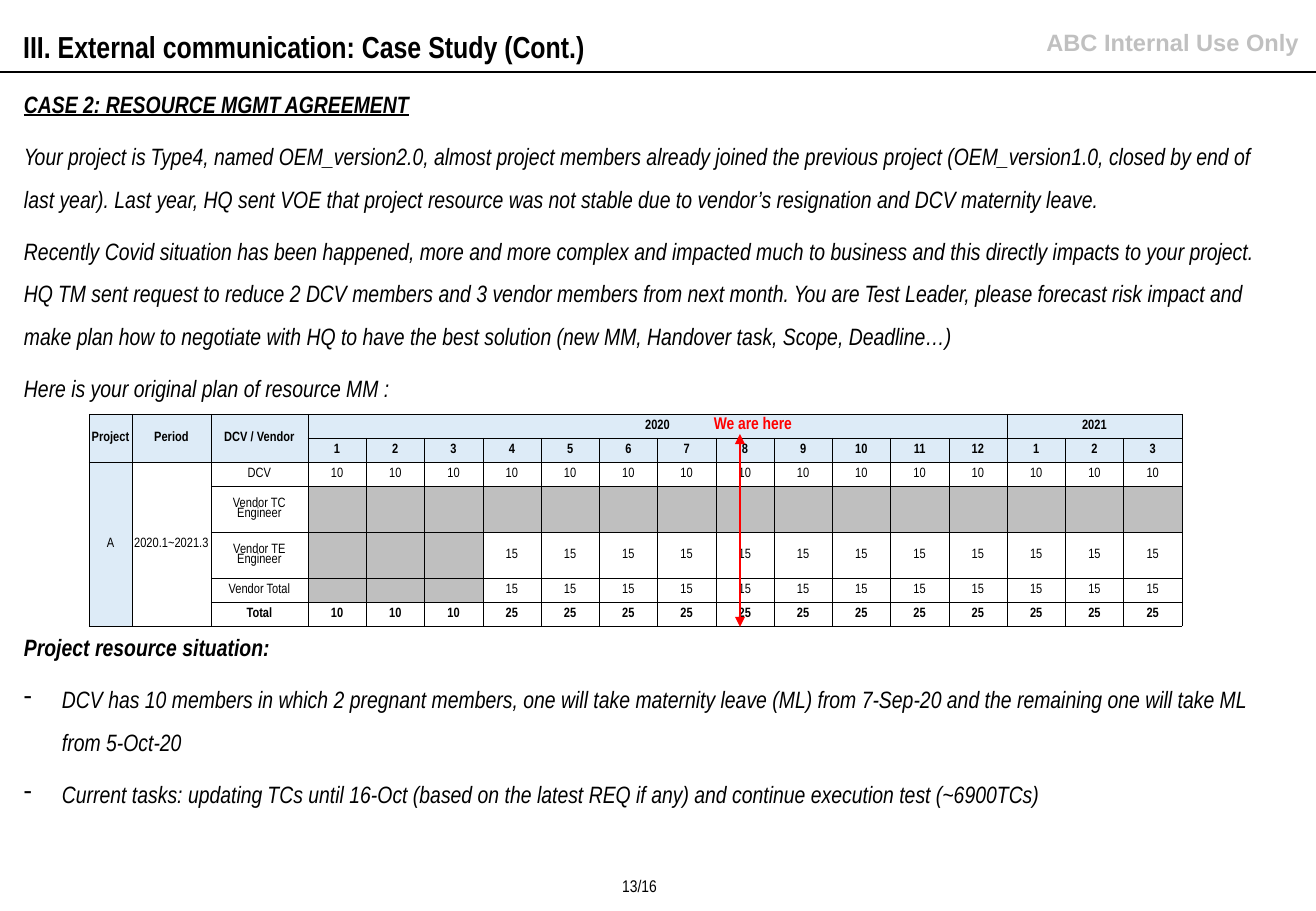
import lxml.etree
import pptx
import pptx.dml.color
import pptx.enum.shapes
import pptx.enum.text
import pptx.oxml.ns
import pptx.util

COLOURS = {
    "black": "000000",
    "white": "FFFFFF",
    "header": "DDEBF7",
    "blocked": "BFBFBF",
    "notice": "C0C0C0",
    "accent": "FF0000",
}
NARROW = "Arial Narrow"
ALIGN = pptx.enum.text.PP_ALIGN
MIDDLE = pptx.enum.text.MSO_ANCHOR.MIDDLE


def px(count):
    return pptx.util.Emu(count * 7526)


def colour(name):
    return pptx.dml.color.RGBColor.from_string(COLOURS[name])


def add_xml(parent, tag, **attributes):
    return lxml.etree.SubElement(parent, pptx.oxml.ns.qn(tag), **attributes)


class Page:
    def __init__(self, deck):
        self.slide = deck.slides.add_slide(deck.slide_layouts[5])
        self.shapes = self.slide.shapes

    def style(self, para, size, bold=False, italic=False, underline=False,
              ink="black", font=NARROW, align=ALIGN.LEFT):
        para.alignment = align
        for span in para.runs:
            span.font.size = pptx.util.Pt(size)
            span.font.name = font
            span.font.bold = bold
            span.font.italic = italic
            span.font.underline = underline
            span.font.color.rgb = colour(ink)

    def title(self, text, left, top, width, height):
        box = self.shapes.title
        box.left, box.top, box.width, box.height = map(px, (left, top, width, height))
        box.text_frame.text = text
        box.text_frame.word_wrap = False
        box.text_frame.vertical_anchor = MIDDLE
        self.style(box.text_frame.paragraphs[0], 18, bold=True)

    def text(self, content, left, top, width, height, **look):
        box = self.shapes.add_textbox(*map(px, (left, top, width, height)))
        box.text_frame.word_wrap = True
        box.text_frame.text = content
        self.style(box.text_frame.paragraphs[0], **look)

    def story(self, entries, left, top, width, height):
        box = self.shapes.add_textbox(*map(px, (left, top, width, height)))
        frame = box.text_frame
        frame.word_wrap = True
        frame.margin_left = frame.margin_right = px(11)
        frame.text = "\n".join(content for content, kind in entries)
        for index, (para, (content, kind)) in enumerate(zip(frame.paragraphs, entries)):
            para.line_spacing = 1.5
            para.space_before = pptx.util.Pt(5.6 if index else 0)
            self.style(para, 14, bold=kind in ("heading", "lead"), italic=True,
                       underline=kind == "heading")
            if kind == "bullet":
                properties = para._p.get_or_add_pPr()
                properties.set("marL", str(px(38)))
                properties.set("indent", str(-px(38)))
                add_xml(properties, "a:buChar", char="-")

    def line(self, start, end, ink, arrows=False):
        link = self.shapes.add_connector(
            pptx.enum.shapes.MSO_CONNECTOR.STRAIGHT, *map(px, start + end))
        link.line.color.rgb = colour(ink)
        link.line.width = pptx.util.Pt(0.75)
        if arrows:
            for tag in ("a:headEnd", "a:tailEnd"):
                add_xml(link.line._get_or_add_ln(), tag, type="triangle")
        add_xml(link._element.spPr, "a:effectLst")

    def cell(self, cell, content, fill, bold):
        cell.margin_left = cell.margin_right = cell.margin_top = px(1)
        cell.margin_bottom = 0
        cell.vertical_anchor = MIDDLE
        cell.text_frame.text = content
        para = cell.text_frame.paragraphs[0]
        para.line_spacing = 0.8
        self.style(para, 8, bold=bold, align=ALIGN.CENTER)
        add_xml(para._p, "a:endParaRPr", sz="800")
        properties = cell._tc.get_or_add_tcPr()
        for side in ("a:lnL", "a:lnR", "a:lnT", "a:lnB"):
            border = add_xml(properties, side, w="3175")
            add_xml(add_xml(border, "a:solidFill"), "a:srgbClr", val=COLOURS["black"])
        cell.fill.solid()
        cell.fill.fore_color.rgb = colour(fill)

    def plan(self, rows, merges, left, top, widths, heights):
        frame = self.shapes.add_table(len(rows), len(widths), px(left), px(top),
                                      sum(widths), px(sum(heights)))
        table = frame.table
        table.first_row = table.horz_banding = False
        for column, width in zip(table.columns, widths):
            column.width = width
        for row, height in zip(table.rows, heights):
            row.height = px(height)
        for r, values in enumerate(rows):
            for c, value in enumerate(values):
                if r < 2 or c == 0:
                    fill = "header"
                elif c > 2 and not value:
                    fill = "blocked"
                else:
                    fill = "white"
                bold = r < 2 or (r == len(rows) - 1 and c > 1)
                self.cell(table.cell(r, c), value, fill, bold)
        for first, last in merges:
            table.cell(*first).merge(table.cell(*last))


def main():
    deck = pptx.Presentation()
    deck.slide_width, deck.slide_height = px(1316), px(911)
    page = Page(deck)

    page.line((0, 72), (1316, 72), "black")
    page.text("ABC Internal Use Only", 950, 22, 361, 41, size=14, bold=True,
              ink="notice", font="Arial", align=ALIGN.RIGHT)
    page.title("III. External communication: Case Study (Cont.)", 11, 22, 593, 49)

    page.story([
        ("CASE 2: RESOURCE MGMT AGREEMENT", "heading"),
        ("Your project is Type4, named OEM_version2.0, almost project members already joined "
         "the previous project (OEM_version1.0, closed by end of last year). Last year, HQ sent "
         "VOE that project resource was not stable due to vendor’s resignation and DCV "
         "maternity leave.", "body"),
        ("Recently Covid situation has been happened, more and more complex and impacted much "
         "to business and this directly impacts to your project. HQ TM sent request to reduce "
         "2 DCV members and 3 vendor members from next month. You are Test Leader, please "
         "forecast risk impact and make plan how to negotiate with HQ to have the best solution "
         "(new MM, Handover task, Scope, Deadline…)", "body"),
        ("Here is your original plan of resource MM :", "body"),
    ], 13, 70, 1266, 340)
    page.story([
        ("Project resource situation:", "lead"),
        ("DCV has 10 members in which 2 pregnant members, one will take maternity leave (ML) "
         "from 7-Sep-20 and the remaining one will take ML from 5-Oct-20", "bullet"),
        ("Current tasks: updating TCs until 16-Oct (based on the latest REQ if any) and "
         "continue execution test (~6900TCs)", "bullet"),
    ], 13, 613, 1266, 228)

    months = [str(month) for month in [*range(1, 13), *range(1, 4)]]
    vendor = [""] * 3 + ["15"] * 12
    rows = [
        ["Project", "Period", "DCV / Vendor", "2020"] + [""] * 11 + ["2021", "", ""],
        [""] * 3 + months,
        ["A", "2020.1~2021.3", "DCV"] + ["10"] * 15,
        ["", "", "Vendor TC Engineer"] + [""] * 15,
        ["", "", "Vendor TE Engineer"] + vendor,
        ["", "", "Vendor Total"] + vendor,
        ["", "", "Total"] + ["10"] * 3 + ["25"] * 12,
    ]
    merges = [((0, c), (1, c)) for c in range(3)]
    merges += [((2, c), (6, c)) for c in range(2)]
    merges += [((0, 3), (0, 14)), ((0, 15), (0, 17))]
    widths = [px(43), px(79), px(97)] + [px(874) // 15] * 15
    page.plan(rows, merges, 89, 414, widths, [24, 24, 24, 46, 46, 24, 24])

    page.line((740, 434), (740, 627), "accent", arrows=True)
    page.text("We are here", 702, 407, 112, 33, size=10, bold=True, ink="accent")
    page.text("13/16", 589, 870, 101, 33, size=10, align=ALIGN.CENTER)
    deck.save("out.pptx")


if __name__ == "__main__":
    main()
